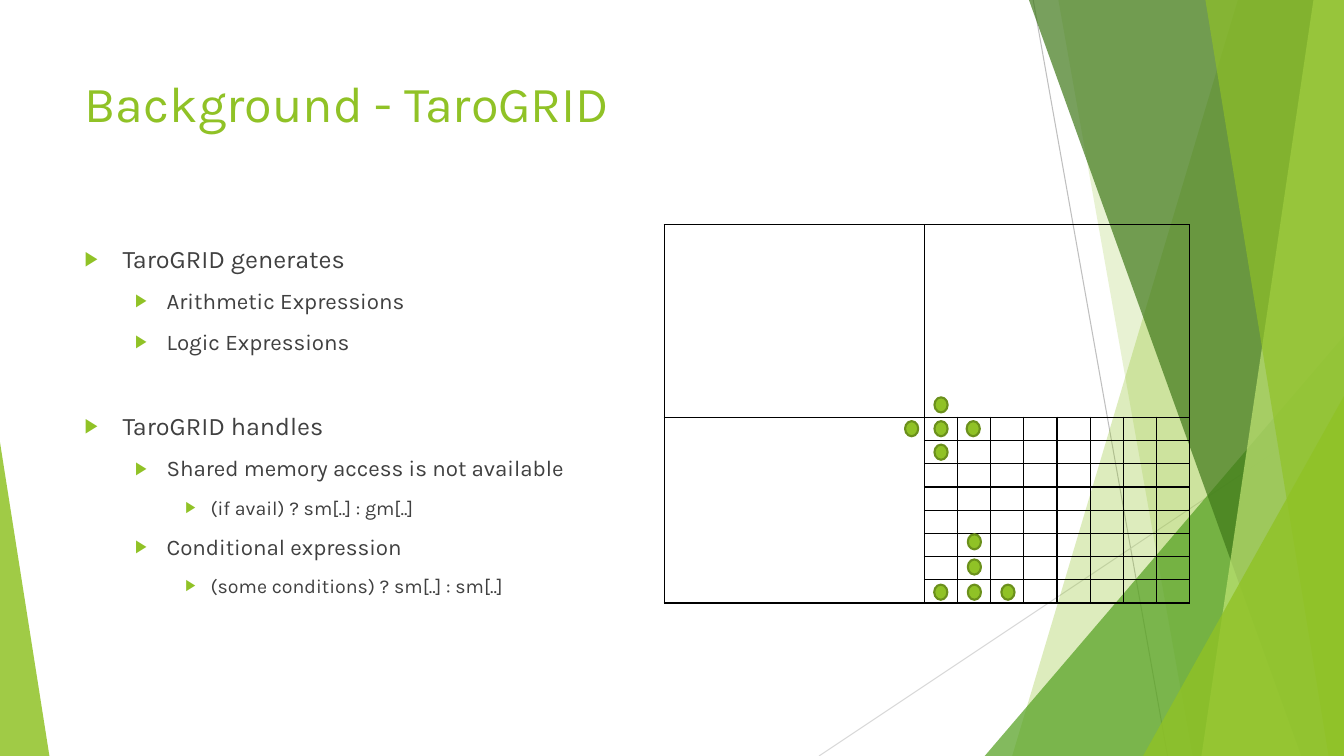
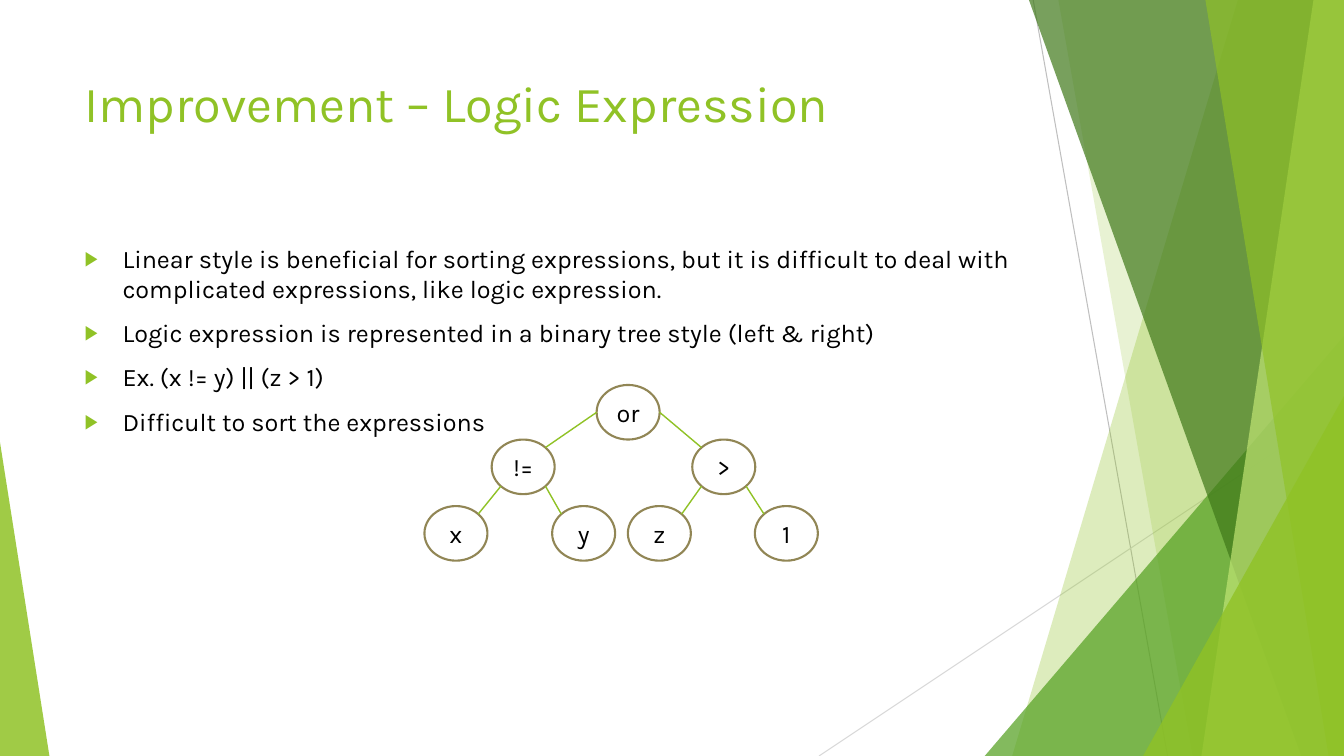
from lxml.etree import SubElement
from pptx import Presentation
from pptx.dml.color import RGBColor
from pptx.enum.shapes import MSO_CONNECTOR, MSO_SHAPE
from pptx.enum.text import MSO_ANCHOR, MSO_AUTO_SIZE, PP_ALIGN
from pptx.oxml import parse_xml
from pptx.oxml.ns import nsdecls, qn
from pptx.util import Pt

FONT = "Karla"
COLORS = {
    "lime": "90C226", "green": "54A021", "forest": "3F7819", "pale": "C0E474",
    "dot_line": "6B901C", "node_line": "918655", "text": "404040",
    "black": "000000", "white": "FFFFFF", "ray": "BFBFBF", "ray_light": "D9D9D9",
}
WIDTH, HEIGHT = 960, 540
TITLE_BOX = (53.3, 48, 677, 104)
BODY_BOX = (53.3, 170, 677, 305)

# Background rays: start, end, colour
RAYS = [((738, 0), (834, 540), "ray"), ((960, 290), (585, 540), "ray_light")]
# Bands from back to front. A strip has its top and bottom left x and reaches the
# right edge; a triangle has its left, top and width and reaches the bottom edge.
BANDS = [
    ("strip", (884.2, 723), "lime", 30),
    ("strip", (756, 851.8), "lime", 20),
    ("triangle", (703.4, 240, 256.6), "green", 72),
    ("strip", (735, 929.5), "forest", 70),
    ("strip", (938.2, 858.2), "pale", 70),
    ("strip", (861, 949), "lime", 65),
    ("triangle", (816.5, 283, 143.5), "lime", 80),
    ("triangle", (0, 316, 35.3), "lime", 85),
]

# Body levels: left indent, hanging indent, text size
LEVELS = [(27, 27, 18), (58.5, 22.5, 16), (90, 18, 14)]
PARAGRAPH_GAP, SECTION_GAP = 10, 39.5

BACKGROUND_TITLE = "Background - TaroGRID"
BACKGROUND_SECTIONS = [
    [(0, "TaroGRID generates"),
     (1, "Arithmetic Expressions"),
     (1, "Logic Expressions")],
    [(0, "TaroGRID handles"),
     (1, "Shared memory access is not available"),
     (2, "(if avail) ? sm[..] : gm[..]"),
     (1, "Conditional expression"),
     (2, "(some conditions) ? sm[..] : sm[..]")],
]
LOGIC_TITLE = "Improvement – Logic Expression"
LOGIC_SECTIONS = [[
    (0, "Linear style is beneficial for sorting expressions, but it is difficult "
        "to deal with complicated expressions, like logic expression."),
    (0, "Logic expression is represented in a binary tree style (left & right)"),
    (0, "Ex. (x != y) || (z > 1)"),
    (0, "Difficult to sort the expressions"),
]]

GRID_LEFT, GRID_TOP, GRID_DIVISIONS = 474.5, 160.6, 8
BLOCK_WIDTH, BLOCK_HEIGHT = 185.8, 137.5
CELL_WIDTH, CELL_HEIGHT = 23.7, 16.6
DOT_WIDTH, DOT_HEIGHT = 9.4, 10.8
# Stencils: left and top of the centre dot, then the offset of each dot
STENCILS = [
    ((667.5, 300.8), [(0, 0), (23, 0), (0, 16.8), (-21, 0), (0, -17)]),
    ((691.3, 417.6), [(0, 0), (-24, 0), (24, 0), (0, -18), (0, -36)]),
]

NODE_WIDTH, NODE_HEIGHT = 45, 39
NODES = {
    "or": (426.2, 275), "!=": (351.2, 314), ">": (494.5, 314),
    "x": (303.2, 361.5), "y": (394.4, 361.5), "z": (448.5, 361.5), "1": (539.2, 361.5),
}
CHILDREN = {"or": ("!=", ">"), "!=": ("x", "y"), ">": ("z", "1")}
DIAGONAL = 0.71


def rgb(name):
    return RGBColor.from_string(COLORS[name])


def box(*values):
    return [Pt(v) for v in values]


def paint(sp, fill, line=None, alpha=None):
    """Set fill, outline and opacity in percent."""
    sp.shadow.inherit = False
    sp.fill.solid()
    sp.fill.fore_color.rgb = rgb(fill)
    if alpha:
        color = sp.element.spPr.find(qn("a:solidFill"))[0]
        SubElement(color, qn("a:alpha"), val=str(alpha * 1000))
    if line:
        sp.line.color.rgb = rgb(line)
        sp.line.width = Pt(1.5)
    else:
        sp.line.fill.background()


def add_line(slide, start, end, color, width):
    line = slide.shapes.add_connector(MSO_CONNECTOR.STRAIGHT, *box(*start, *end))
    line.line.color.rgb = rgb(color)
    line.line.width = Pt(width)
    SubElement(line.element.spPr, qn("a:effectLst"))
    return line


def add_ellipse(slide, left, top, width, height, fill, line):
    sp = slide.shapes.add_shape(MSO_SHAPE.OVAL, *box(left, top, width, height))
    paint(sp, fill, line)
    return sp


def add_band(slide, kind, place, color, alpha):
    if kind == "strip":
        top_x, bottom_x = place
        outline = [(WIDTH, 0), (WIDTH, HEIGHT), (bottom_x, HEIGHT)]
        builder = slide.shapes.build_freeform(Pt(top_x), 0)
        builder.add_line_segments([box(*point) for point in outline], close=True)
        sp = builder.convert_to_shape()
    else:
        left, top, width = place
        sp = slide.shapes.add_shape(MSO_SHAPE.ISOSCELES_TRIANGLE,
                                    *box(left, top, width, HEIGHT - top))
        sp.adjustments[0] = 1 if left else 0
    paint(sp, color, alpha=alpha)
    return sp


def set_level(style, level, props, size, color):
    """Replace one level of a master text style."""
    attrs, spacing, bullet = props
    old = style.find(qn(f"a:lvl{level}pPr"))
    style.replace(old, parse_xml(
        f'<a:lvl{level}pPr {nsdecls("a")} {attrs} algn="l">'
        f'<a:spcBef><a:spcPts val="{spacing * 100}"/></a:spcBef>{bullet}'
        f'<a:defRPr sz="{size * 100}"><a:solidFill><a:srgbClr val="{COLORS[color]}"/>'
        f'</a:solidFill><a:latin typeface="{FONT}"/><a:ea typeface="{FONT}"/>'
        f'</a:defRPr></a:lvl{level}pPr>'))


def style_template(prs, layout):
    styles = prs.slide_master.element.find(qn("p:txStyles"))
    set_level(styles.find(qn("p:titleStyle")), 1, ("", 0, "<a:buNone/>"), 36, "lime")
    bullet = (f'<a:buClr><a:srgbClr val="{COLORS["lime"]}"/></a:buClr>'
              '<a:buSzPct val="80000"/><a:buFont typeface="Arial"/><a:buChar char="▶"/>')
    for level, (left, hanging, size) in enumerate(LEVELS, 1):
        attrs = f'marL="{Pt(left)}" indent="{-Pt(hanging)}"'
        set_level(styles.find(qn("p:bodyStyle")), level,
                  (attrs, PARAGRAPH_GAP, bullet), size, "text")
    for ph, place in zip(layout.placeholders, (TITLE_BOX, BODY_BOX)):
        ph.left, ph.top, ph.width, ph.height = box(*place)
        ph.text_frame.vertical_anchor = MSO_ANCHOR.TOP
        ph.text_frame.auto_size = MSO_AUTO_SIZE.NONE


def move_decoration(slide, layout):
    """Draw the rays and bands, then hand them to the layout, behind its text."""
    parts = [add_line(slide, *ray, 0.75) for ray in RAYS]
    parts += [add_band(slide, *band) for band in BANDS]
    for i, part in enumerate(parts):
        part.element.find(f".//{qn('p:cNvPr')}").set("id", str(100 + i))
        layout.shapes.element.insert(2 + i, part.element)


def add_text_slide(prs, layout, title, sections, color):
    slide = prs.slides.add_slide(layout)
    slide.shapes.title.text = title
    tf = slide.placeholders[1].text_frame
    p = tf.paragraphs[0]
    for s, section in enumerate(sections):
        for i, (level, text) in enumerate(section):
            if s or i:
                p = tf.add_paragraph()
            p.level = level
            if s and not i:
                p.space_before = Pt(SECTION_GAP)
            r = p.add_run()
            r.text = text
            r.font.color.rgb = rgb(color)
    return slide


def style_cell(cell):
    cell.fill.background()
    for side in ("left", "right", "top", "bottom"):
        setattr(cell, f"margin_{side}", 0)
    SubElement(cell.text_frame.paragraphs[0]._p, qn("a:endParaRPr"), sz="800")
    for i, side in enumerate("LRTB"):
        cell._tc.tcPr.insert(i, parse_xml(
            f'<a:ln{side} {nsdecls("a")} w="{Pt(1)}"><a:solidFill>'
            f'<a:srgbClr val="{COLORS["black"]}"/></a:solidFill></a:ln{side}>'))


def add_memory_grid(slide):
    n = GRID_DIVISIONS
    size = (BLOCK_WIDTH + n * CELL_WIDTH, BLOCK_HEIGHT + n * CELL_HEIGHT)
    table = slide.shapes.add_table(n + 1, n + 1, *box(GRID_LEFT, GRID_TOP, *size)).table
    table.first_row = table.horz_banding = False
    for i in range(n + 1):
        table.columns[i].width = Pt(CELL_WIDTH if i else BLOCK_WIDTH)
        table.rows[i].height = Pt(CELL_HEIGHT if i else BLOCK_HEIGHT)
    for cell in table.iter_cells():
        style_cell(cell)
    table.cell(0, 1).merge(table.cell(0, n))
    table.cell(1, 0).merge(table.cell(n, 0))
    for (left, top), offsets in STENCILS:
        for dx, dy in offsets:
            add_ellipse(slide, left + dx, top + dy, DOT_WIDTH, DOT_HEIGHT,
                        "lime", "dot_line")


def node_point(name, x, y):
    """Point of a node, with x and y from -1 to 1 around its centre."""
    left, top = NODES[name]
    return left + NODE_WIDTH * (1 + x) / 2, top + NODE_HEIGHT * (1 + y) / 2


def add_expression_tree(slide):
    for name, (left, top) in NODES.items():
        sp = add_ellipse(slide, left, top, NODE_WIDTH, NODE_HEIGHT, "white", "node_line")
        tf = sp.text_frame
        frame = {"word_wrap": False, "vertical_anchor": MSO_ANCHOR.MIDDLE,
                 "margin_left": 0, "margin_right": 0}
        for key, value in frame.items():
            setattr(tf, key, value)
        p = tf.paragraphs[0]
        p.alignment = PP_ALIGN.CENTER
        r = p.add_run()
        r.text = name
        for key, value in {"name": FONT, "size": Pt(18)}.items():
            setattr(r.font, key, value)
        r.font.color.rgb = rgb("black")
    for parent, children in CHILDREN.items():
        for side, child in zip((-1, 1), children):
            x, y = (side, 0) if parent == "or" else (side * DIAGONAL, DIAGONAL)
            add_line(slide, node_point(child, -side * DIAGONAL, -DIAGONAL),
                     node_point(parent, x, y), "lime", 1)


def main():
    prs = Presentation()
    prs.slide_width, prs.slide_height = box(WIDTH, HEIGHT)
    layout = prs.slide_layouts[1]
    style_template(prs, layout)
    background = add_text_slide(prs, layout, BACKGROUND_TITLE, BACKGROUND_SECTIONS, "text")
    move_decoration(background, layout)
    add_memory_grid(background)
    logic = add_text_slide(prs, layout, LOGIC_TITLE, LOGIC_SECTIONS, "black")
    add_expression_tree(logic)
    prs.save("out.pptx")


if __name__ == "__main__":
    main()
